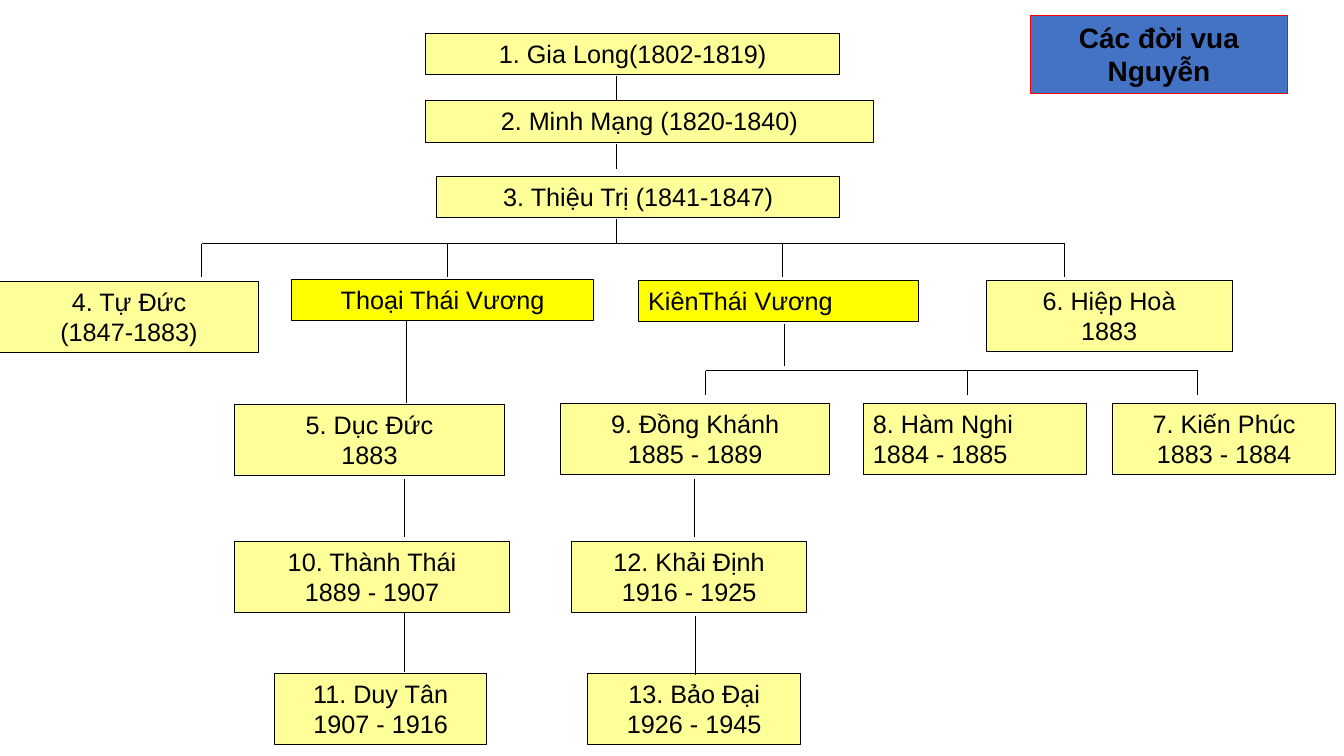
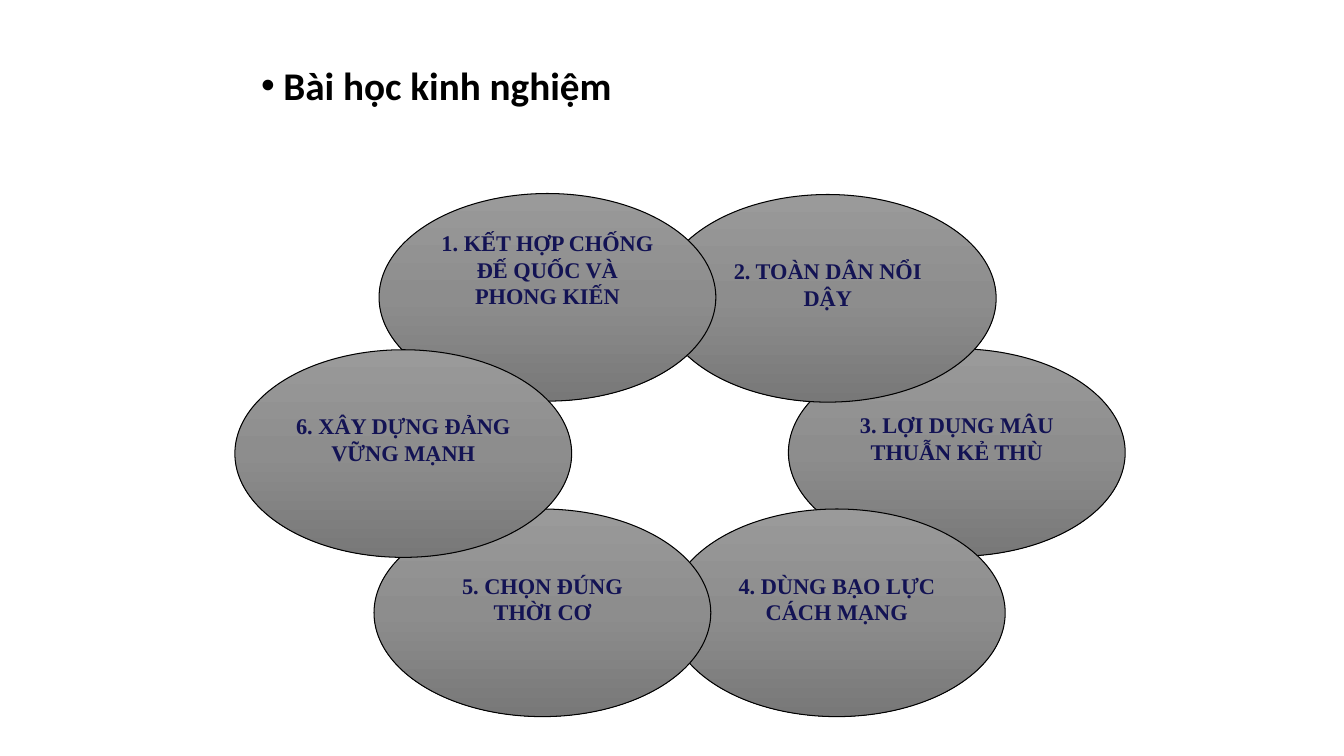
from copy import deepcopy

from lxml.etree import SubElement
from pptx import Presentation
from pptx.dml.color import RGBColor
from pptx.enum.shapes import MSO_CONNECTOR, MSO_SHAPE
from pptx.enum.text import MSO_ANCHOR, MSO_AUTO_SIZE, PP_ALIGN
from pptx.oxml.ns import qn
from pptx.util import Inches, Pt


def rgb(value):
    return RGBColor.from_string(value)


def write(frame, text, size=18, font="Arial", color="000000", bold=False,
          align=PP_ALIGN.CENTER, anchor=MSO_ANCHOR.TOP, inset_top=0.05, bullet=None):
    frame.word_wrap = True
    frame.auto_size = MSO_AUTO_SIZE.NONE
    frame.vertical_anchor = anchor
    frame.margin_left = frame.margin_right = Inches(0.1)
    frame.margin_top = Inches(inset_top)
    frame.margin_bottom = Inches(0.05)
    frame.text = text
    for paragraph in frame.paragraphs:
        if bullet:
            properties = paragraph._p.get_or_add_pPr()
            properties.set("marL", str(Inches(0.22)))
            properties.set("indent", str(-Inches(0.22)))
            SubElement(properties, qn("a:buFont"), typeface="Arial")
            SubElement(properties, qn("a:buChar"), char=bullet)
        paragraph.alignment = align
        for run in paragraph.runs:
            run.font.size = Pt(size)
            run.font.name = font
            run.font.bold = bold
            run.font.color.rgb = rgb(color)


class Deck:
    KING = "FFFF99"
    PRINCE = "FFFF00"
    TITLE_FILL = "4472C4"
    TITLE_LINE = "FF0000"
    LINE = "000000"
    LESSON_TEXT = "131354"
    LESSON_GRADIENT = ((0, "9A9A9A"), (0.5, "8D8D8D"), (1, "787878"))
    LINE_WIDTH = Pt(0.75)

    def __init__(self):
        self.presentation = Presentation()
        self.presentation.slide_width = Inches(13.33)
        self.presentation.slide_height = Inches(7.5)
        self.slide = None

    def add_slide(self):
        self.slide = self.presentation.slides.add_slide(self.presentation.slide_layouts[5])

    def outline(self, shape, color=LINE):
        shape.line.color.rgb = rgb(color)
        shape.line.width = self.LINE_WIDTH

    def title(self, text, left, top, width, height, **style):
        title = self.slide.shapes.title
        title.left, title.top = Inches(left), Inches(top)
        title.width, title.height = Inches(width), Inches(height)
        write(title.text_frame, text, bold=True, **style)
        return title

    def shape(self, preset, left, top, width, height):
        shape = self.slide.shapes.add_shape(
            preset, Inches(left), Inches(top), Inches(width), Inches(height))
        shape.shadow.inherit = False
        self.outline(shape)
        return shape

    def person(self, left, top, width, text, fill=KING, **style):
        height = 0.71 if "\n" in text else 0.41
        person = self.shape(MSO_SHAPE.RECTANGLE, left, top, width, height)
        person.fill.solid()
        person.fill.fore_color.rgb = rgb(fill)
        write(person.text_frame, text, **style)

    def line(self, x1, y1, x2, y2):
        line = self.slide.shapes.add_connector(
            MSO_CONNECTOR.STRAIGHT, Inches(x1), Inches(y1), Inches(x2), Inches(y2))
        self.outline(line)
        SubElement(line._element.spPr, qn("a:effectLst"))

    def fork(self, top, bottom, branches):
        self.line(branches[0], top, branches[-1], top)
        for x in branches:
            self.line(x, top, x, bottom)

    def lesson(self, left, top, text, inset_top=0.32):
        lesson = self.shape(MSO_SHAPE.OVAL, left, top, 3.34, 2.06)
        lesson.fill.gradient()
        lesson.fill.gradient_angle = 270
        stops = lesson._element.spPr.find(".//" + qn("a:gsLst"))
        stops.insert(1, deepcopy(stops[0]))
        for stop, (position, color) in zip(lesson.fill.gradient_stops, self.LESSON_GRADIENT):
            stop.position = position
            stop.color.rgb = rgb(color)
        write(lesson.text_frame, text, size=16, font="Times New Roman",
              color=self.LESSON_TEXT, bold=True, inset_top=inset_top)


def family_tree(deck):
    deck.add_slide()
    title = deck.title("Các đời vua Nguyễn", 10.22, 0.15, 2.55, 0.78, size=20)
    title.fill.solid()
    title.fill.fore_color.rgb = rgb(deck.TITLE_FILL)
    deck.outline(title, deck.TITLE_LINE)

    for left, top, width, text in (
        (4.22, 0.33, 4.11, "1. Gia Long(1802-1819)"),
        (4.22, 1, 4.44, "2. Minh Mạng (1820-1840)"),
        (4.33, 1.75, 4, "3. Thiệu Trị (1841-1847)"),
        (9.78, 2.78, 2.44, "6. Hiệp Hoà\n1883"),
        (0, 2.79, 2.56, "4. Tự Đức\n(1847-1883)"),
        (2.33, 4.01, 2.67, "5. Dục Đức\n1883"),
        (5.56, 4, 2.67, "9. Đồng Khánh\n1885 - 1889"),
        (11.03, 4, 2.22, "7. Kiến Phúc\n1883 - 1884"),
        (2.33, 5.37, 2.72, "10. Thành Thái\n1889 - 1907"),
        (5.67, 5.37, 2.33, "12. Khải Định\n1916 - 1925"),
        (2.72, 6.68, 2.11, "11. Duy Tân\n1907 - 1916"),
        (5.83, 6.68, 2.11, "13. Bảo Đại\n1926 - 1945"),
    ):
        deck.person(left, top, width, text)
    deck.person(8.56, 4, 2.22, "8. Hàm Nghi\n1884 - 1885", align=PP_ALIGN.LEFT)
    deck.person(2.89, 2.77, 3, "Thoại Thái Vương", fill=deck.PRINCE)
    deck.person(6.33, 2.78, 2.78, "KiênThái Vương", fill=deck.PRINCE, align=PP_ALIGN.LEFT)

    deck.fork(2.42, 2.75, (2, 4.44, 7.76, 10.56))
    deck.fork(3.68, 3.92, (7, 9.6, 11.88))
    for x, top, bottom in (
        (6.11, 0.75, 1), (6.11, 1.43, 1.68), (6.11, 2.17, 2.42),
        (7.78, 3.21, 3.63), (4.03, 3.17, 4),
        (4.01, 4.75, 5.33), (4.01, 6.08, 6.67),
        (6.89, 4.75, 5.33), (6.9, 6.11, 6.7),
    ):
        deck.line(x, top, x, bottom)


def lessons(deck):
    deck.add_slide()
    deck.title("Bài học kinh nghiệm", 2.49, 0.53, 5.56, 0.62, size=28, font="Calibri",
               align=PP_ALIGN.LEFT, anchor=MSO_ANCHOR.MIDDLE, bullet="•")
    deck.lesson(7.82, 3.46, "3. LỢI DỤNG MÂU THUẪN KẺ THÙ")
    deck.lesson(6.54, 1.93, "2. TOÀN DÂN NỔI DẬY")
    deck.lesson(6.63, 5.05, "4. DÙNG BẠO LỰC CÁCH MẠNG")
    deck.lesson(3.71, 5.05, "5. CHỌN ĐÚNG THỜI CƠ")
    deck.lesson(3.76, 1.92, "1. KẾT HỢP CHỐNG ĐẾ QUỐC VÀ PHONG KIẾN", inset_top=0.05)
    deck.lesson(2.33, 3.47, "6. XÂY DỰNG ĐẢNG VỮNG MẠNH")


def main():
    deck = Deck()
    family_tree(deck)
    lessons(deck)
    deck.presentation.save("out.pptx")


if __name__ == "__main__":
    main()
